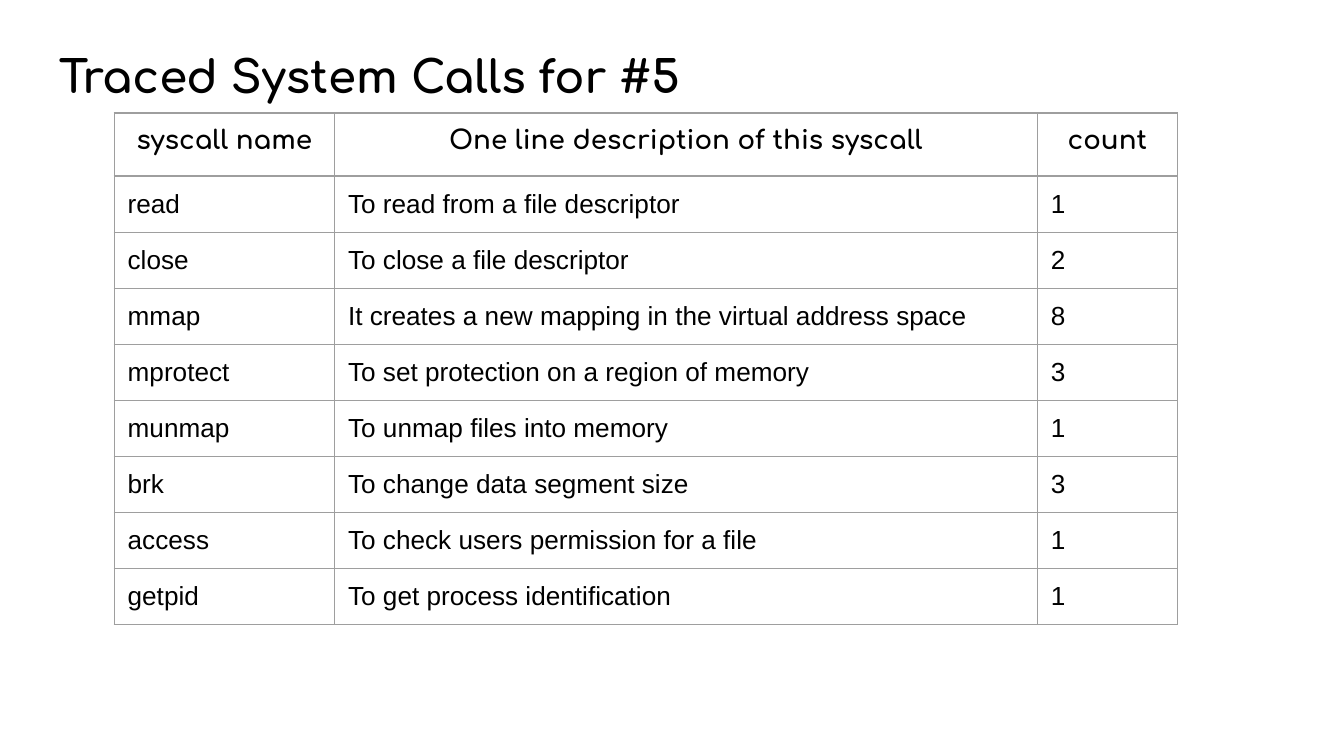
from dataclasses import dataclass

from lxml import etree
from pptx import Presentation
from pptx import util as u
from pptx.dml.color import RGBColor
from pptx.enum import text
from pptx.oxml import ns

SLIDE_WIDTH = 10
SLIDE_HEIGHT = SLIDE_WIDTH * 9 / 16
INSET, CELL_BOTTOM_INSET = 0.1, 0.08
COLUMN_WIDTHS = (1.64, 5.23, 1.04)
HEADER_HEIGHT, BODY_HEIGHT = 0.47, 3.34
BLACK, GREY = "000000", "9E9E9E"


@dataclass(frozen=True)
class TextStyle:
    font: str
    size: float
    bold: bool = False
    align: text.PP_ALIGN = text.PP_ALIGN.LEFT


@dataclass(frozen=True)
class Syscall:
    name: str
    description: str
    count: str


TITLE = TextStyle("Comfortaa", 24, bold=True)
HEADER = TextStyle("Comfortaa", 14, bold=True, align=text.PP_ALIGN.CENTER)
BODY = TextStyle("Arial", 14)

HEADINGS = Syscall("syscall name", "One line description of this syscall", "count")
SYSCALLS = (
    Syscall("read", "To read from a file descriptor", "1"),
    Syscall("close", "To close a file descriptor", "2"),
    Syscall("mmap", "It creates a new mapping in the virtual address space", "8"),
    Syscall("mprotect", "To set protection on a region of memory", "3"),
    Syscall("munmap", "To unmap files into memory", "1"),
    Syscall("brk", "To change data segment size", "3"),
    Syscall("access", "To check users permission for a file", "1"),
    Syscall("getpid", "To get process identification", "1"),
)


def color(value: str) -> RGBColor:
    return RGBColor.from_string(value)


def write(holder, content: str, style: TextStyle, bottom: float = INSET) -> None:
    """Fill a cell or text frame with one styled paragraph."""
    holder.margin_left = holder.margin_right = u.Inches(INSET)
    holder.margin_top = u.Inches(INSET)
    holder.margin_bottom = u.Inches(bottom)
    holder.vertical_anchor = text.MSO_ANCHOR.TOP
    holder.text = content
    paragraph = getattr(holder, "text_frame", holder).paragraphs[0]
    paragraph.alignment = style.align
    for run in paragraph.runs:
        run.font.name = style.font
        run.font.size = u.Pt(style.size)
        run.font.bold = style.bold
        run.font.color.rgb = color(BLACK)


def add_borders(cell, value: str, width: float) -> None:
    properties = cell._tc.get_or_add_tcPr()
    for side in ("a:lnL", "a:lnR", "a:lnT", "a:lnB"):
        line = etree.SubElement(properties, ns.qn(side), w=str(u.Pt(width)))
        fill = etree.SubElement(line, ns.qn("a:solidFill"))
        etree.SubElement(fill, ns.qn("a:srgbClr"), val=value)


def add_title(slide, content: str) -> None:
    shape = slide.shapes.add_textbox(
        u.Inches(0.34), u.Inches(0.2), u.Inches(9.32), u.Inches(5.3))
    shape.text_frame.word_wrap = True
    write(shape.text_frame, content, TITLE)
    shape.text_frame.paragraphs[0].line_spacing = 1.15


def add_syscall_table(slide) -> None:
    rows = (HEADINGS, *SYSCALLS)
    heights = [HEADER_HEIGHT] + [BODY_HEIGHT / len(SYSCALLS)] * len(SYSCALLS)
    table = slide.shapes.add_table(
        len(rows), len(COLUMN_WIDTHS), u.Inches(0.85), u.Inches(0.84),
        u.Inches(sum(COLUMN_WIDTHS)), u.Inches(sum(heights))).table
    table.first_row = table.horz_banding = False
    for column, width in zip(table.columns, COLUMN_WIDTHS):
        column.width = u.Inches(width)
    for row, height, syscall in zip(table.rows, heights, rows):
        row.height = u.Inches(height)
        style = HEADER if syscall is HEADINGS else BODY
        values = (syscall.name, syscall.description, syscall.count)
        for cell, value in zip(row.cells, values):
            write(cell, value, style, CELL_BOTTOM_INSET)
            add_borders(cell, GREY, 0.75)
            cell.fill.background()


presentation = Presentation()
presentation.slide_width = u.Inches(SLIDE_WIDTH)
presentation.slide_height = u.Inches(SLIDE_HEIGHT)
slide = presentation.slides.add_slide(presentation.slide_layouts[6])

# Heading
add_title(slide, "Traced System Calls for #5")

# System call table
add_syscall_table(slide)

presentation.save("out.pptx")
